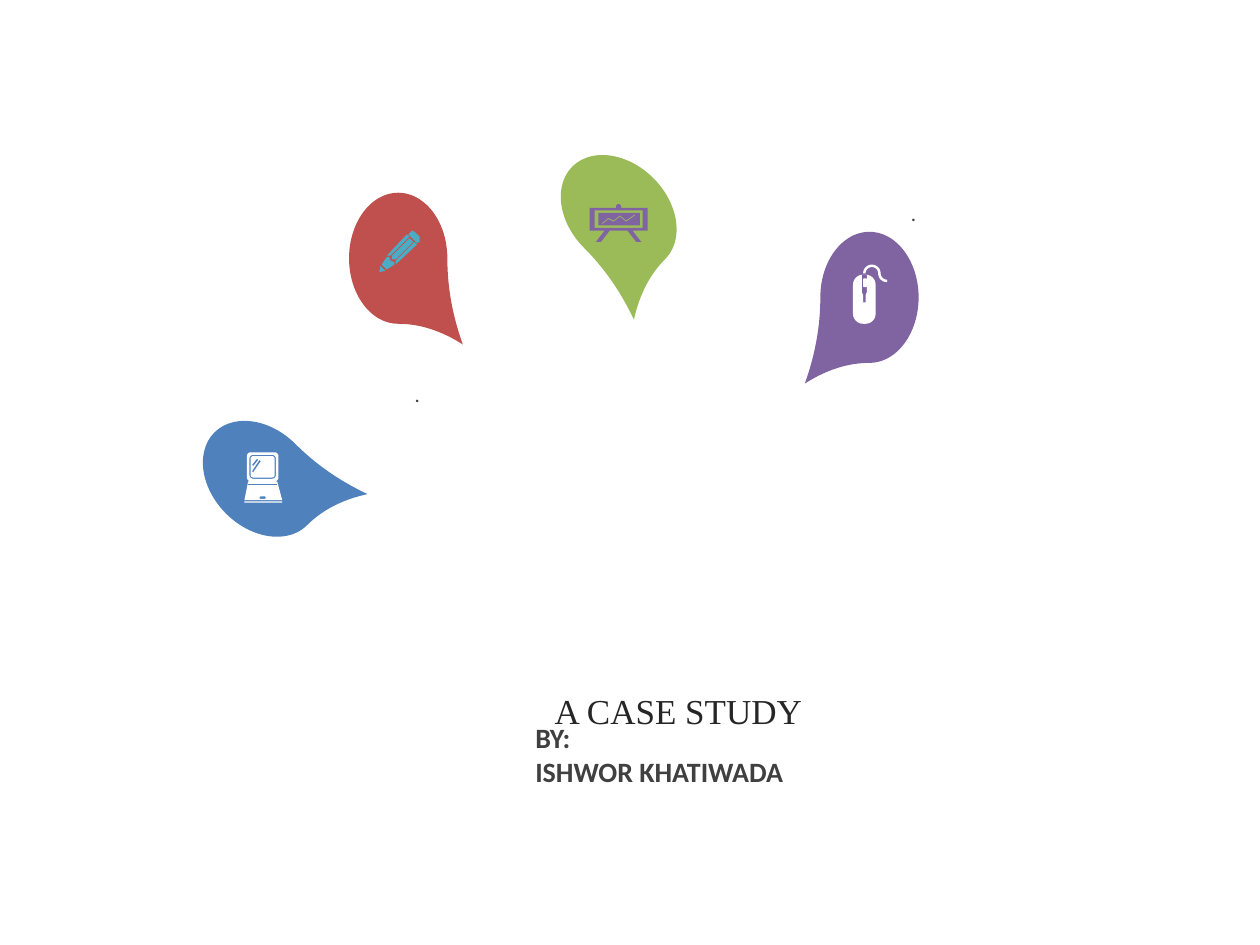
from dataclasses import dataclass
from math import cos, radians, sin
from typing import NamedTuple

from pptx import Presentation
from pptx.dml.color import RGBColor
from pptx.enum.shapes import MSO_SHAPE as Shape
from pptx.enum.text import MSO_ANCHOR as Anchor, MSO_AUTO_SIZE as AutoSize, PP_ALIGN as Align
from pptx.util import Inches, Pt

Point = tuple[float, float]
Outline = list[Point]


@dataclass(frozen=True)
class Theme:
    """Colours, fonts and type sizes of the slide."""
    blue: str = "4F81BD"
    red: str = "C0504D"
    green: str = "9BBB59"
    purple: str = "8064A2"
    aqua: str = "4BACC6"
    white: str = "FFFFFF"
    ink: str = "262626"
    grey: str = "404040"
    title_font: str = "Times New Roman"
    body_font: str = "Calibri"
    title_size: int = 20
    author_size: int = 16
    note_size: int = 12


class Box(NamedTuple):
    """Left, top, width and height in inches."""
    left: float
    top: float
    width: float
    height: float


class Drop(NamedTuple):
    """A teardrop marker."""
    box: Box
    rotation: int
    color: str
    flipped: bool = False


class Icon(NamedTuple):
    """Nested outlines filled with one colour; inner ones cut holes."""
    color: str
    outlines: list[Outline]


class Label(NamedTuple):
    """A text box with one style."""
    box: Box
    text: str
    size: int
    bold: bool
    align: Align


T = Theme()


def arc(cx: float, cy: float, r: float, start: int, end: int, steps: int = 12) -> Outline:
    """Return points along a circular arc, with angles in degrees."""
    angles = [radians(start + (end - start) * i / steps) for i in range(steps + 1)]
    return [(cx + r * cos(a), cy + r * sin(a)) for a in angles]


def band(cx: float, cy: float, outer: float, inner: float, start: int, end: int) -> Outline:
    """Return a curved strip between two radii."""
    return arc(cx, cy, outer, start, end) + arc(cx, cy, inner, end, start)


def rounded(left: float, top: float, width: float, height: float, r: float = 0) -> Outline:
    """Return a rectangle with rounded corners."""
    x1, x2, y1, y2 = left + r, left + width - r, top + r, top + height - r
    if not r:
        return [(x1, y1), (x2, y1), (x2, y2), (x1, y2)]
    corners = ((x1, y1, 180), (x2, y1, 270), (x2, y2, 0), (x1, y2, 90))
    return [pt for x, y, a in corners for pt in arc(x, y, r, a, a + 90, 6)]


def stroke(points: Outline, dx: float, dy: float) -> Outline:
    """Return a strip swept from a line by a small offset."""
    return points + [(x + dx, y + dy) for x, y in reversed(points)]


DROPS = [
    Drop(Box(4.52, 1.17, 0.78, 1.04), 135, T.green),
    Drop(Box(2.64, 1.66, 1.04, 0.78), 90, T.red),
    Drop(Box(6.38, 1.97, 1.04, 0.78), 270, T.purple, True),
    Drop(Box(1.55, 3.41, 1.04, 0.78), 45, T.blue),
]

MOUSE = Icon(T.white, [
    rounded(6.77, 2.18, 0.18, 0.39, 0.08),
    [(6.84, 2.18), (6.88, 2.18), (6.88, 2.32), (6.87, 2.34), (6.87, 2.4),
     (6.85, 2.4), (6.85, 2.34), (6.84, 2.32)],
    rounded(6.85, 2.21, 0.03, 0.07, 0.01),
    band(6.92, 2.17, 0.07, 0.05, 180, 360),
    band(7.04, 2.17, 0.07, 0.05, 180, 90),
])
LAPTOP = Icon(T.white, [
    rounded(1.96, 3.59, 0.25, 0.23, 0.03),
    rounded(1.98, 3.61, 0.21, 0.19, 0.03),
    rounded(1.99, 3.62, 0.19, 0.17, 0.02),
    stroke([(2, 3.74), (2.06, 3.65)], 0.01, 0.01),
    stroke([(2, 3.69), (2.04, 3.64)], 0.01, 0.01),
    [(1.97, 3.82), (2.2, 3.82), (2.24, 3.97), (1.94, 3.97)],
    rounded(1.97, 3.84, 0.23, 0.01),
    rounded(2.06, 3.94, 0.05, 0.02, 0.01),
    rounded(1.94, 3.98, 0.3, 0.01),
])
PENCIL = Icon(T.aqua, [
    [(3.02, 2.11), (3.06, 2.15), (3.01, 2.16)],
    [(3.07, 2.04), (3.09, 2.04), (3.1, 2.07), (3.13, 2.08), (3.13, 2.1), (3.07, 2.14), (3.03, 2.1)],
    [(3.29, 1.92), (3.31, 1.94), (3.14, 2.1), (3.14, 2.07)],
    [(3.25, 1.89), (3.28, 1.92), (3.14, 2.06), (3.11, 2.06), (3.11, 2.03)],
    [(3.23, 1.86), (3.25, 1.88), (3.1, 2.03), (3.07, 2.03)],
    [(3.24, 1.86), (3.27, 1.83), (3.29, 1.84), (3.33, 1.88), (3.33, 1.92), (3.31, 1.93)],
])
EASEL = Icon(T.purple, [
    [(4.68, 1.65), (4.89, 1.65), *arc(4.91, 1.64, 0.02, 180, 360), (4.93, 1.65), (5.14, 1.65),
     (5.14, 1.83), (5.02, 1.83), (5.09, 1.92), (5.05, 1.92), (4.98, 1.83), (4.84, 1.83),
     (4.77, 1.92), (4.73, 1.92), (4.8, 1.83), (4.68, 1.83)],
    rounded(4.72, 1.67, 0.38, 0.14),
    rounded(4.75, 1.69, 0.33, 0.1),
    stroke([(4.78, 1.77), (4.83, 1.73), (4.87, 1.75), (4.92, 1.71), (4.97, 1.75), (5.04, 1.7)], 0, 0.01),
])

LABELS = [
    Label(Box(5.03, 1.54, 2.34, 0.3), ".", T.note_size, False, Align.RIGHT),
    Label(Box(1.09, 2.98, 2.34, 0.3), ".", T.note_size, False, Align.RIGHT),
    Label(Box(4.15, 5.67, 2.81, 0.64), "BY:\vISHWOR KHATIWADA", T.author_size, True, Align.LEFT),
]


def paint(s, color: str) -> None:
    """Give a shape a plain fill without line or shadow."""
    s.shadow.inherit = False
    s.fill.solid()
    s.fill.fore_color.rgb = RGBColor.from_string(color)
    s.line.fill.background()


def add_drop(shapes, drop: Drop) -> None:
    """Draw a teardrop marker."""
    s = shapes.add_shape(Shape.TEAR, *map(Inches, drop.box))
    s.adjustments[0] = 1.316
    s.rotation = drop.rotation
    if drop.flipped:
        s.element.spPr.xfrm.set("flipH", "1")
    paint(s, drop.color)


def add_icon(shapes, icon: Icon) -> None:
    """Draw an icon as one freeform."""
    first, *rest = [[(Inches(x), Inches(y)) for x, y in o] for o in icon.outlines]
    builder = shapes.build_freeform(*first[0])
    builder.add_line_segments(first[1:], close=True)
    for outline in rest:
        builder.move_to(*outline[0])
        builder.add_line_segments(outline[1:], close=True)
    paint(builder.convert_to_shape(), icon.color)


def set_text(tf, text: str, font: str, size: int, color: str, bold: bool, align: Align) -> None:
    """Write one styled paragraph."""
    tf.word_wrap = True
    p = tf.paragraphs[0]
    p.text, p.alignment = text, align
    p.font.name, p.font.size, p.font.bold = font, Pt(size), bold
    p.font.color.rgb = RGBColor.from_string(color)


def add_label(shapes, label: Label) -> None:
    """Draw a text box."""
    tf = shapes.add_textbox(*map(Inches, label.box)).text_frame
    set_text(tf, label.text, T.body_font, label.size, T.grey, label.bold, label.align)


def add_title(title) -> None:
    """Place and style the title."""
    title.left, title.top, title.width, title.height = map(Inches, Box(3.16, 5.36, 4.45, 0.56))
    tf = title.text_frame
    tf.auto_size, tf.vertical_anchor = AutoSize.NONE, Anchor.MIDDLE
    set_text(tf, "A CASE STUDY", T.title_font, T.title_size, T.ink, False, Align.CENTER)


def main() -> None:
    """Build and save the slide."""
    prs = Presentation()
    prs.slide_width, prs.slide_height = Inches(10), Inches(7.5)
    shapes = prs.slides.add_slide(prs.slide_layouts[5]).shapes
    add_title(shapes.title)
    for drop in DROPS:
        add_drop(shapes, drop)
    for icon in (MOUSE, LAPTOP, PENCIL, EASEL):
        add_icon(shapes, icon)
    for label in LABELS:
        add_label(shapes, label)
    prs.save("out.pptx")


if __name__ == "__main__":
    main()
